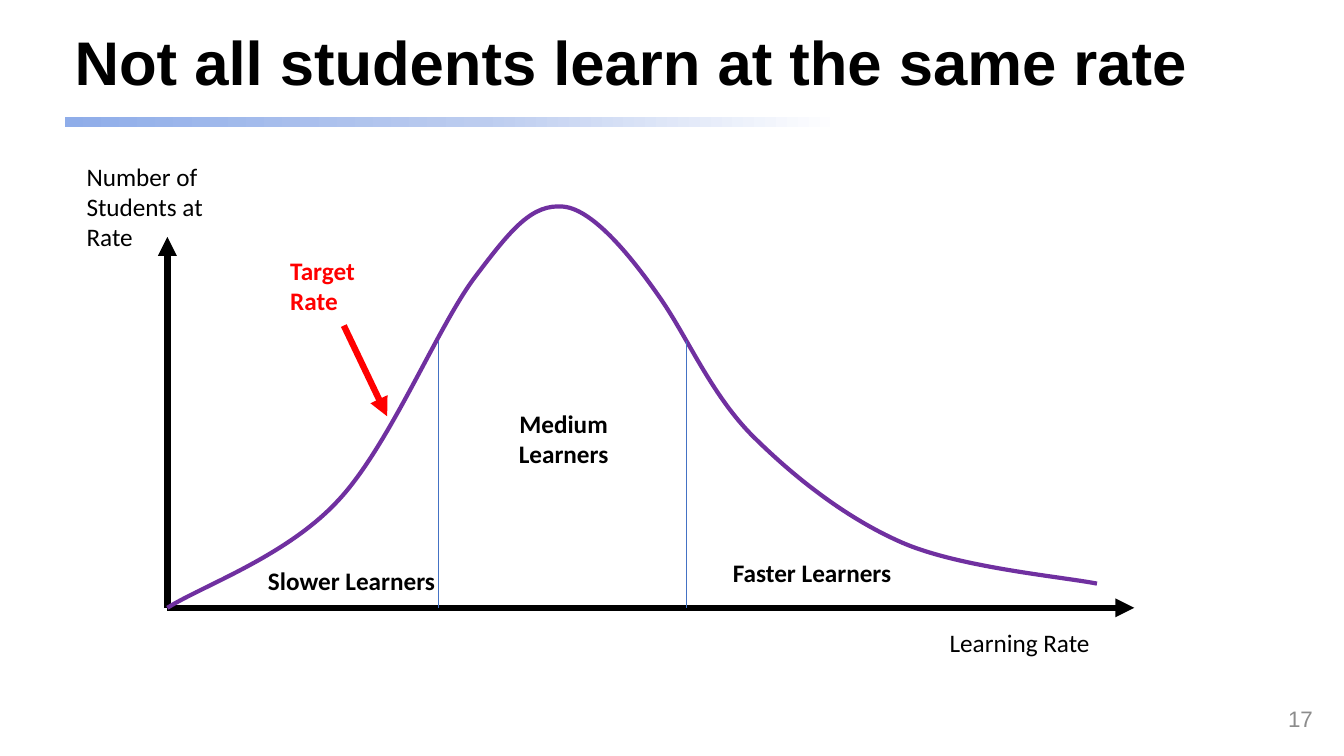
from copy import deepcopy
from dataclasses import dataclass

from lxml import etree
from pptx import Presentation
from pptx.dml.color import RGBColor
from pptx.enum.shapes import MSO_CONNECTOR, MSO_SHAPE
from pptx.enum.text import MSO_ANCHOR, MSO_AUTO_SIZE, PP_ALIGN
from pptx.oxml.ns import qn
from pptx.slide import Slide
from pptx.text.text import TextFrame
from pptx.util import Inches, Pt

BLACK = RGBColor(0x00, 0x00, 0x00)
RED = RGBColor(0xFF, 0x00, 0x00)
PURPLE = RGBColor(0x70, 0x30, 0xA0)
BLUE = RGBColor(0x44, 0x72, 0xC4)
GRAY = RGBColor(0x8C, 0x8C, 0x8C)
BAND_STOPS = (
    (0.0, RGBColor(0x8F, 0xAD, 0xE9)),
    (0.36, RGBColor(0xBC, 0xCC, 0xEF)),
    (0.67, RGBColor(0xFF, 0xFF, 0xFF)),
)

LEFT, CENTER, RIGHT = PP_ALIGN.LEFT, PP_ALIGN.CENTER, PP_ALIGN.RIGHT
TOP, MIDDLE = MSO_ANCHOR.TOP, MSO_ANCHOR.MIDDLE
NO_AUTOFIT = MSO_AUTO_SIZE.NONE
STRAIGHT = MSO_CONNECTOR.STRAIGHT
RECTANGLE = MSO_SHAPE.RECTANGLE

TITLE_ONLY_LAYOUT = 5
Point = tuple[float, float]
ORIGIN: Point = (1.66, 6.03)


@dataclass(frozen=True)
class Label:
    box: tuple[float, float, float, float]
    paragraphs: tuple[str, ...]
    bold: bool = False
    color: RGBColor = BLACK
    wrap: bool = False
    align: PP_ALIGN = LEFT
    anchor: MSO_ANCHOR = TOP
    size: int = 18
    font: str = "Calibri"


@dataclass(frozen=True)
class Line:
    start: Point
    end: Point
    color: RGBColor
    width: float
    arrow: bool = True


LINES = (
    Line(ORIGIN, (ORIGIN[0], 2.35), BLACK, 4.5),
    Line(ORIGIN, (11.25, ORIGIN[1]), BLACK, 4.5),
)

ANNOTATION_LINES = (
    *(Line((x, 3.38), (x, ORIGIN[1]), BLUE, 0.5, arrow=False) for x in (4.35, 6.81)),
    Line((3.41, 3.23), (3.84, 4.13), RED, 4.5),
)

# Each row holds two control points and the end point of one curve segment.
RATE_CURVE: tuple[tuple[Point, Point, Point], ...] = (
    ((2.01, 5.81), (2.84, 5.52), (3.35, 4.97)),
    ((3.86, 4.43), (4.34, 3.24), (4.71, 2.75)),
    ((5.08, 2.26), (5.28, 2.02), (5.59, 2.05)),
    ((5.89, 2.08), (6.28, 2.57), (6.55, 2.96)),
    ((6.82, 3.35), (7.05, 3.90), (7.45, 4.31)),
    ((7.85, 4.71), (8.37, 5.13), (8.94, 5.38)),
    ((9.51, 5.63), (10.52, 5.72), (10.88, 5.79)),
)

LABELS = (
    Label((9.32, 6.17, 1.85, 0.4), ("Learning Rate",), wrap=True),
    Label((0.76, 1.55, 1.85, 1.01), ("Number of Students at Rate",), wrap=True),
    Label((7.17, 5.48, 1.78, 0.4), ("Faster Learners",), bold=True),
    Label((2.56, 5.56, 1.87, 0.4), ("Slower Learners",), bold=True),
    Label((5.04, 4, 1.1, 0.71), ("Medium\nLearners",), bold=True, align=CENTER),
    Label((2.78, 2.48, 0.85, 0.71), ("Target", "Rate"), bold=True, color=RED),
    Label((10.12, 6.93, 3, 0.4), ("17",), color=GRAY, wrap=True,
          align=RIGHT, anchor=MIDDLE, size=16, font="Arial"),
)

TITLE = Label((0.64, 0.18, 11.5, 0.94), ("Not all students learn at the same rate",),
              bold=True, wrap=True, anchor=MIDDLE, size=44, font="Arial")


def write_label(text_frame: TextFrame, label: Label) -> None:
    text_frame.auto_size = NO_AUTOFIT
    text_frame.word_wrap = label.wrap
    text_frame.vertical_anchor = label.anchor
    for index, text in enumerate(label.paragraphs):
        paragraph = text_frame.add_paragraph() if index else text_frame.paragraphs[0]
        paragraph.alignment = label.align
        for row, words in enumerate(text.split("\n")):
            if row:
                paragraph.add_line_break()
            run = paragraph.add_run()
            run.text = words
            run.font.name = label.font
            run.font.size = Pt(label.size)
            run.font.bold = label.bold
            run.font.color.rgb = label.color


def add_label(slide: Slide, label: Label) -> None:
    text_box = slide.shapes.add_textbox(*map(Inches, label.box))
    write_label(text_box.text_frame, label)


def add_title(slide: Slide) -> None:
    title = slide.shapes.title
    title.left, title.top, title.width, title.height = map(Inches, TITLE.box)
    write_label(title.text_frame, TITLE)
    title.text_frame.paragraphs[0].line_spacing = 0.9


def add_title_band(slide: Slide) -> None:
    band = slide.shapes.add_shape(RECTANGLE, *map(Inches, (0.64, 1.16, 11.5, 0.1)))
    band.shadow.inherit = False
    band.line.fill.background()
    band.fill.gradient()
    band.fill.gradient_angle = 0
    stop_list = band._element.spPr.find(qn("a:gradFill")).find(qn("a:gsLst"))
    stop_list.append(deepcopy(stop_list[-1]))
    for stop, (position, color) in zip(band.fill.gradient_stops, BAND_STOPS):
        stop.position = position
        stop.color.rgb = color


def add_line(slide: Slide, line: Line) -> None:
    connector = slide.shapes.add_connector(
        STRAIGHT, *map(Inches, (*line.start, *line.end)))
    connector.line.color.rgb = line.color
    connector.line.width = Pt(line.width)
    properties = connector._element.spPr
    if line.arrow:
        etree.SubElement(properties.find(qn("a:ln")), qn("a:tailEnd"), type="triangle")
    etree.SubElement(properties, qn("a:effectLst"))


def add_rate_curve(slide: Slide) -> None:
    """Draw the control polygon, then turn each three sides into a cubic curve."""
    builder = slide.shapes.build_freeform(*map(Inches, ORIGIN))
    builder.add_line_segments(
        [(Inches(x), Inches(y)) for segment in RATE_CURVE for x, y in segment],
        close=False)
    curve = builder.convert_to_shape()
    curve.shadow.inherit = False
    curve.fill.background()
    curve.line.color.rgb = PURPLE
    curve.line.width = Pt(3)
    outline = next(curve._element.iter(qn("a:path")))
    sides = outline.findall(qn("a:lnTo"))
    for first in range(0, len(sides), 3):
        cubic = etree.SubElement(outline, qn("a:cubicBezTo"))
        for side in sides[first:first + 3]:
            cubic.append(side[0])
            outline.remove(side)


def main() -> None:
    presentation = Presentation()
    presentation.slide_width = Inches(13.33)
    presentation.slide_height = Inches(7.5)
    slide = presentation.slides.add_slide(presentation.slide_layouts[TITLE_ONLY_LAYOUT])
    add_title(slide)
    add_title_band(slide)
    for line in LINES:
        add_line(slide, line)
    add_rate_curve(slide)
    for line in ANNOTATION_LINES:
        add_line(slide, line)
    for label in LABELS:
        add_label(slide, label)
    presentation.save("out.pptx")


if __name__ == "__main__":
    main()
